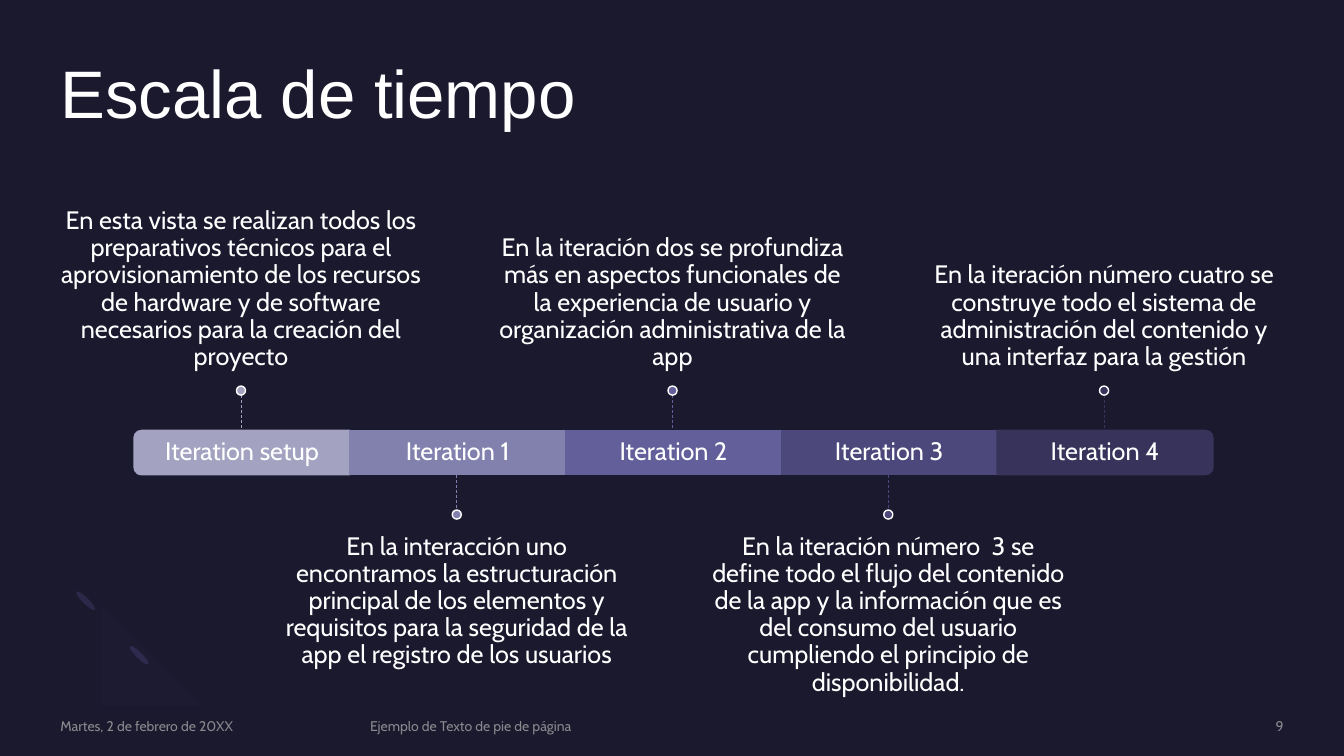
import dataclasses
import typing

import pptx
import pptx.dml.color
import pptx.enum.dml
import pptx.enum.shapes
import pptx.enum.text
import pptx.oxml
import pptx.oxml.ns
import pptx.util

Inches = pptx.util.Inches
Pt = pptx.util.Pt
Preset = pptx.enum.shapes.MSO_SHAPE
Align = pptx.enum.text.PP_ALIGN
Anchor = pptx.enum.text.MSO_ANCHOR
Point = tuple[float, float]
Box = tuple[float, float, float, float]


# Theme
@dataclasses.dataclass(frozen=True)
class Theme:
    background: str = "1B192E"
    text: str = "FFFFFF"
    footer: str = "A6A6A6"
    petal: str = "2C284A"
    arc: str = "7771B2"
    title_font: str = "Arial"
    body_font: str = "Cabin"
    title_size: int = 48
    body_size: int = 18
    footer_size: int = 10


@dataclasses.dataclass(frozen=True)
class Stage:
    label: str
    caption: str
    color: str
    above: bool
    preset: typing.Any = Preset.RECTANGLE
    rotation: int = 0


@dataclasses.dataclass(frozen=True)
class Footer:
    text: str
    left: float
    width: float
    align: typing.Any = Align.LEFT


THEME = Theme()
STAGES = [
    Stage("Iteration setup", "En esta vista se realizan todos los preparativos técnicos para el "
          "aprovisionamiento de los recursos de hardware y de software necesarios para la "
          "creación del proyecto", "A3A3C1", True, Preset.ROUND_2_SAME_RECTANGLE, 270),
    Stage("Iteration 1", "En la interacción uno encontramos la estructuración principal de los "
          "elementos y requisitos para la seguridad de la app el registro de los usuarios",
          "8281AE", False),
    Stage("Iteration 2", "En la iteración dos se profundiza más en aspectos funcionales de la "
          "experiencia de usuario y organización administrativa de la app", "625F9A", True),
    Stage("Iteration 3", "En la iteración número  3 se define todo el flujo del contenido de la "
          "app y la información que es del consumo del usuario cumpliendo el principio de "
          "disponibilidad.", "4C487B", False),
    Stage("Iteration 4", "En la iteración número cuatro se construye todo el sistema de "
          "administración del contenido y una interfaz para la gestión", "37335B", True,
          Preset.ROUND_2_SAME_RECTANGLE, 90),
]
FOOTERS = [
    Footer("Martes, 2 de febrero de 20XX", 0.6, 2.88),
    Footer("Ejemplo de Texto de pie de página", 3.67, 6.98),
    Footer("9", 10.88, 1.85, Align.RIGHT),
]
FIRST_CENTER, PITCH = 2.39, 2.14
BAR_TOP, BAR_HEIGHT = 4.27, 0.44
STEM, DOT = 0.35, 0.09
CAPTION_WIDTH, CAPTION_HEIGHT = 3.57, 1.52
CAPTION_ABOVE, CAPTION_BELOW = 2.31, 5.14
ARC_START = (0.76, 6.59)
ARC_CURVES = [
    [(0.56, 6.39), (0.58, 6.05), (0.81, 5.82)],
    [(0.99, 6.0)],
    [(0.87, 6.11), (0.86, 6.29), (0.96, 6.38)],
    [(1.06, 6.48), (1.23, 6.47), (1.35, 6.36)],
    [(1.52, 6.54)],
    [(1.3, 6.76), (0.95, 6.79), (0.76, 6.59)],
]


# Formatting helpers
def rgb(color: str) -> pptx.dml.color.RGBColor:
    return pptx.dml.color.RGBColor.from_string(color)


def apply(target: typing.Any, values: dict[str, typing.Any]) -> None:
    for name, value in values.items():
        setattr(target, name, value)


def set_alpha(element: typing.Any, percent: int) -> None:
    color = next(element.iter(pptx.oxml.ns.qn("a:srgbClr")))
    namespace = pptx.oxml.ns.nsdecls("a")
    color.append(pptx.oxml.parse_xml(f'<a:alpha {namespace} val="{percent * 1000}"/>'))


def write(shape: typing.Any, text: str, size: int, color: str, font: str, align: typing.Any,
          anchor: typing.Any, insets: Box = (0, 0, 0, 0), spacing: float = 0.9) -> typing.Any:
    frame = shape.text_frame
    left, top, right, bottom = map(Inches, insets)
    apply(frame, {"word_wrap": True, "auto_size": pptx.enum.text.MSO_AUTO_SIZE.NONE,
                  "vertical_anchor": anchor, "margin_left": left, "margin_top": top,
                  "margin_right": right, "margin_bottom": bottom})
    paragraph = frame.paragraphs[0]
    apply(paragraph, {"alignment": align, "line_spacing": spacing})
    run = paragraph.add_run()
    run.text = text
    apply(run.font, {"size": Pt(size), "name": font, "bold": False})
    run.font.color.rgb = rgb(color)
    return run


def add_text(slide: typing.Any, box: Box, *content: typing.Any, **options: typing.Any) -> typing.Any:
    return write(slide.shapes.add_textbox(*map(Inches, box)), *content, **options)


def paint(shape: typing.Any, fill: str, line: str | None = None) -> None:
    shape.shadow.inherit = False
    shape.fill.solid()
    shape.fill.fore_color.rgb = rgb(fill)
    if line is None:
        shape.line.fill.background()
    else:
        shape.line.color.rgb = rgb(line)
        shape.line.width = Pt(1)


def add_preset(slide: typing.Any, preset: typing.Any, box: Box, fill: str,
               line: str | None = None, rotation: int = 0) -> None:
    left, top, width, height = box
    if rotation in (90, 270):
        left, top = left + (width - height) / 2, top + (height - width) / 2
        width, height = height, width
    shape = slide.shapes.add_shape(preset, *map(Inches, (left, top, width, height)))
    shape.rotation = rotation
    paint(shape, fill, line)


# Slide parts
def curve_points(start: Point, curve: list[Point], steps: int = 12) -> list[Point]:
    if len(curve) == 1:
        return curve
    weights = [((1 - t) ** 3, 3 * t * (1 - t) ** 2, 3 * t * t * (1 - t), t ** 3)
               for t in (step / steps for step in range(1, steps + 1))]
    nodes = [start, *curve]
    return [(sum(w * node[0] for w, node in zip(row, nodes)),
             sum(w * node[1] for w, node in zip(row, nodes))) for row in weights]


def draw_decoration(slide: typing.Any) -> None:
    for left, top in ((1.35, 6.37), (0.82, 5.83)):
        add_preset(slide, Preset.OVAL, (left, top, 0.06, 0.26), THEME.petal, rotation=135)
    points = [ARC_START]
    for curve in ARC_CURVES:
        points += curve_points(points[-1], curve)
    builder = slide.shapes.build_freeform(*ARC_START, scale=Inches(1))
    builder.add_line_segments(points[1:], close=True)
    arc = builder.convert_to_shape()
    paint(arc, THEME.arc)
    set_alpha(arc.fill.fore_color._xFill, 3)


def draw_stem(slide: typing.Any, center: float, start: float, color: str) -> None:
    stem = slide.shapes.add_connector(
        pptx.enum.shapes.MSO_CONNECTOR.STRAIGHT,
        *map(Inches, (center, start, center, start + STEM)))
    apply(stem.line, {"width": Pt(0.5), "dash_style": pptx.enum.dml.MSO_LINE.DASH})
    stem.line.color.rgb = rgb(color)
    namespace = pptx.oxml.ns.nsdecls("a")
    stem._element.spPr.append(pptx.oxml.parse_xml(f"<a:effectLst {namespace}/>"))


def draw_stage(slide: typing.Any, stage: Stage, center: float) -> None:
    bar = (center - 1.06, BAR_TOP, PITCH, BAR_HEIGHT)
    style = (THEME.body_size, THEME.text, THEME.body_font, Align.CENTER)
    add_preset(slide, stage.preset, bar, stage.color, stage.color, stage.rotation)
    add_text(slide, bar, stage.label, *style, Anchor.MIDDLE, insets=(0.15,) * 4)
    if stage.above:
        top, anchor, insets = CAPTION_ABOVE, Anchor.BOTTOM, (0, 0, 0, 0.15)
        stem_top, dot_top = BAR_TOP - STEM, BAR_TOP - STEM - DOT
    else:
        top, anchor, insets = CAPTION_BELOW, Anchor.TOP, (0, 0.15, 0, 0)
        stem_top, dot_top = BAR_TOP + BAR_HEIGHT, BAR_TOP + BAR_HEIGHT + STEM
    add_text(slide, (center - CAPTION_WIDTH / 2, top, CAPTION_WIDTH, CAPTION_HEIGHT),
             stage.caption, *style, anchor, insets=insets)
    draw_stem(slide, center, stem_top, stage.color)
    add_preset(slide, Preset.OVAL, (center - DOT / 2, dot_top, DOT, DOT), stage.color, THEME.text)


def main() -> None:
    presentation = pptx.Presentation()
    apply(presentation, {"slide_width": Inches(13.33), "slide_height": Inches(7.5)})
    slide = presentation.slides.add_slide(presentation.slide_layouts[5])
    slide.background.fill.solid()
    slide.background.fill.fore_color.rgb = rgb(THEME.background)
    draw_decoration(slide)

    # Title
    title = slide.shapes.title
    apply(title, {"left": Inches(0.6), "top": Inches(0.6),
                  "width": Inches(12.13), "height": Inches(1.46)})
    write(title, "Escala de tiempo", THEME.title_size, THEME.text, THEME.title_font,
          Align.LEFT, Anchor.TOP)

    # Timeline
    for index, stage in enumerate(STAGES):
        draw_stage(slide, stage, FIRST_CENTER + index * PITCH)

    # Footer
    for footer in FOOTERS:
        run = add_text(slide, (footer.left, 7.12, footer.width, 0.17), footer.text,
                       THEME.footer_size, THEME.footer, THEME.body_font, footer.align,
                       Anchor.MIDDLE, spacing=1.0)
        set_alpha(run._r, 80)
    presentation.save("out.pptx")


if __name__ == "__main__":
    main()
